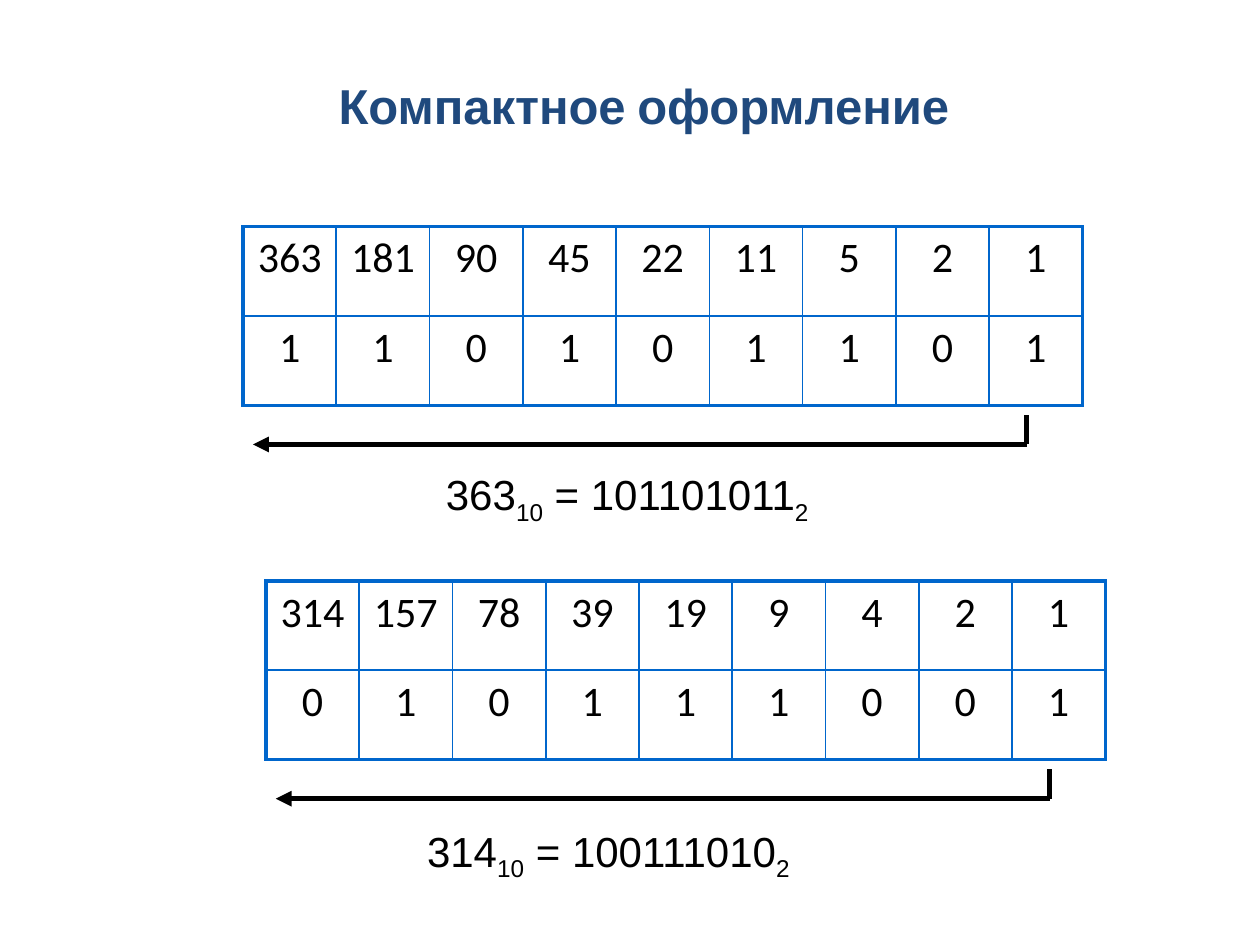
from dataclasses import dataclass

from lxml import etree
from pptx import Presentation
from pptx.dml.color import RGBColor
from pptx.enum.shapes import MSO_CONNECTOR
from pptx.enum.text import MSO_AUTO_SIZE, PP_ALIGN
from pptx.oxml.ns import qn
from pptx.util import Cm, Pt

STRAIGHT = MSO_CONNECTOR.STRAIGHT
GROW = MSO_AUTO_SIZE.SHAPE_TO_FIT_TEXT
LEFT, CENTER = PP_ALIGN.LEFT, PP_ALIGN.CENTER

COLORS = {"title": "1F497D", "text": "000000", "grid": "0066CC"}
CELL_W, CELL_H = 1.88, 1.8
OUTER_PT, INNER_PT = 2.21, 1.08


@dataclass
class Conversion:
    """A decimal number turned into binary by repeated halving; places in cm."""
    number: int
    left: float
    top: float
    equation_left: float
    equation_top: float


CONVERSIONS = [
    Conversion(363, 4.9, 4.57, 8.74, 9.32),
    Conversion(314, 5.36, 11.71, 8.36, 16.51),
]


def add_run(paragraph, text: str, *, font: str = "Arial", size: float = 24,
            color: str = "text", bold: bool = False, subscript: bool = False) -> None:
    run = paragraph.add_run()
    run.text = text
    run.font.name = font
    run.font.size = Pt(size)
    run.font.bold = bold
    run.font.color.rgb = RGBColor.from_string(COLORS[color])
    if subscript:
        run.font._element.set("baseline", "-25000")


def add_text_line(slide, left: float, top: float, width: float, height: float, align):
    """Add a one-line text box and return its paragraph."""
    frame = slide.shapes.add_textbox(Cm(left), Cm(top), Cm(width), Cm(height)).text_frame
    frame.word_wrap = True
    frame.auto_size = GROW
    paragraph = frame.paragraphs[0]
    paragraph.alignment = align
    return paragraph


def set_border(cell, side: str, width: float) -> None:
    line = etree.SubElement(cell._tc.get_or_add_tcPr(), qn(f"a:ln{side}"), w=str(int(Pt(width))))
    fill = etree.SubElement(line, qn("a:solidFill"))
    etree.SubElement(fill, qn("a:srgbClr"), val=COLORS["grid"])


def add_halving_table(slide, item: Conversion) -> None:
    quotients = [item.number >> step for step in range(item.number.bit_length())]
    rows = [quotients, [quotient % 2 for quotient in quotients]]
    last_row, last_column = len(rows) - 1, len(quotients) - 1
    table = slide.shapes.add_table(
        len(rows), len(quotients), Cm(item.left), Cm(item.top),
        Cm(CELL_W * len(quotients)), Cm(CELL_H * len(rows))).table
    table.first_row = table.horz_banding = False
    for column in table.columns:
        column.width = Cm(CELL_W)
    for r, values in enumerate(rows):
        table.rows[r].height = Cm(CELL_H)
        for c, value in enumerate(values):
            cell = table.cell(r, c)
            on_edge = {"L": c == 0, "R": c == last_column, "T": r == 0, "B": r == last_row}
            for side, is_outer in on_edge.items():
                set_border(cell, side, OUTER_PT if is_outer else INNER_PT)
            cell.fill.background()
            paragraph = cell.text_frame.paragraphs[0]
            paragraph.alignment = CENTER
            add_run(paragraph, str(value), font="Calibri")


def add_line(shapes, start: tuple[float, float], end: tuple[float, float],
             *, arrow: bool = False) -> None:
    connector = shapes.add_connector(STRAIGHT, *(Cm(v) for v in start + end))
    connector.line.width = Pt(3)
    connector.line.color.rgb = RGBColor.from_string(COLORS["text"])
    if arrow:
        etree.SubElement(connector.line._get_or_add_ln(), qn("a:tailEnd"), type="triangle")
    etree.SubElement(connector._element.spPr, qn("a:effectLst"))


def add_reading_arrow(slide, item: Conversion) -> None:
    """Bent arrow under the table: digits are read from right to left."""
    shapes = slide.shapes.add_group_shape().shapes
    corner = (item.left + 15.8, item.top + 4.39)
    add_line(shapes, corner, (item.left + 0.2, corner[1]), arrow=True)
    add_line(shapes, corner, (corner[0], item.top + 3.79))


def add_equation(slide, item: Conversion) -> None:
    equation = add_text_line(slide, item.equation_left, item.equation_top, 8.61, 1.42, LEFT)
    add_run(equation, str(item.number))
    add_run(equation, "10", subscript=True)
    add_run(equation, f" = {item.number:b}")
    add_run(equation, "2", subscript=True)


def main() -> None:
    presentation = Presentation()
    presentation.slide_width, presentation.slide_height = Cm(25.4), Cm(19.05)
    slide = presentation.slides.add_slide(presentation.slide_layouts[6])

    # Conversions: table, reading direction, result
    for item in CONVERSIONS:
        add_halving_table(slide, item)
        add_reading_arrow(slide, item)
        add_equation(slide, item)

    # Title
    title = add_text_line(slide, 1.98, 1.4, 22, 1.45, CENTER)
    add_run(title, "Компактное", size=28, color="title", bold=True)
    add_run(title, " ")
    add_run(title, "оформление", size=28, color="title", bold=True)

    presentation.save("out.pptx")


if __name__ == "__main__":
    main()
